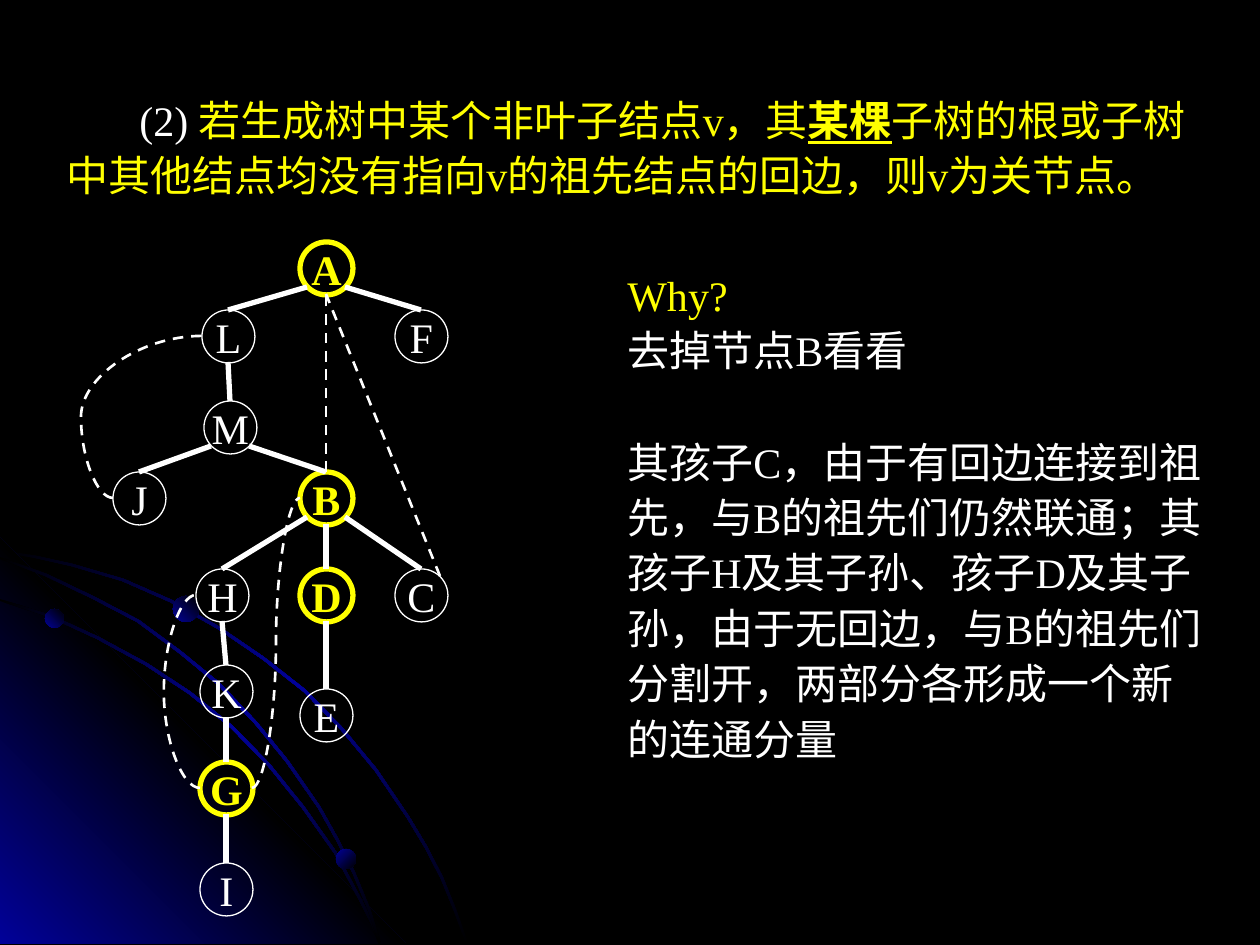
"""Builds a slide on articulation points in a depth-first spanning tree."""
from lxml import etree
from pptx import Presentation
from pptx import util as u
from pptx.dml.color import RGBColor
from pptx.enum import dml, shapes, text
from pptx.oxml.ns import qn

SCALE = 914400 / 126
BLACK = RGBColor(0, 0, 0)
WHITE = RGBColor(0xFF, 0xFF, 0xFF)
YELLOW = RGBColor(0xFF, 0xFF, 0)
BLUE = RGBColor(0x01, 0x01, 0x99)
LATIN, CJK = "Times New Roman", "Noto Sans CJK SC"

DIAMETER = 53
RADIUS = DIAMETER // 2
DIAGONAL = 19
SITES = {
    "n": (0, -RADIUS), "s": (0, RADIUS), "w": (-RADIUS, 0), "e": (RADIUS, 0),
    "sw": (-DIAGONAL, DIAGONAL), "se": (DIAGONAL, DIAGONAL),
    "ne": (DIAGONAL, -DIAGONAL),
}
NODES = {
    "A": (326, 268), "L": (228, 336), "F": (421, 336), "M": (230, 427),
    "J": (139, 498), "B": (326, 498), "H": (222, 595), "D": (326, 595),
    "C": (421, 595), "K": (226, 691), "E": (326, 715), "G": (226, 788),
    "I": (226, 889),
}
CUT_NODES = "ABDG"
TREE_EDGES = [
    ("A", "sw", "L"), ("A", "se", "F"), ("L", "s", "M"), ("M", "sw", "J"),
    ("M", "se", "B"), ("B", "sw", "H"), ("B", "s", "D"), ("B", "se", "C"),
    ("D", "s", "E"), ("H", "s", "K"), ("K", "s", "G"), ("G", "s", "I"),
]
STRAIGHT_BACK_EDGES = [("B", "n", "A", "s"), ("C", "ne", "A", "s")]
CURVED_BACK_EDGES = [
    ("J", "w", "L", "w", 81), ("G", "w", "H", "w", 164), ("G", "e", "B", "w", 276),
]

OUTER_ARC = [
    (0, 552), (35, 558), (71, 566), (122, 581), (170, 602), (218, 629),
    (262, 659), (304, 692), (341, 730), (375, 771), (407, 818), (425, 848),
    (441, 879), (454, 911), (466, 944),
]
INNER_ARC = [
    (0, 601), (49, 617), (97, 639), (145, 665), (189, 694), (231, 728),
    (268, 766), (302, 808), (334, 853), (359, 900), (370, 922), (379, 944),
]
MIDDLE_ARC = [
    (0, 559), (45, 576), (93, 599), (137, 622), (179, 653), (218, 685),
    (255, 724), (286, 762), (318, 808), (336, 840), (353, 874), (368, 910),
    (379, 944),
]
CORNER = [(0, 538), (0, 944), (406, 944)]
DOTS = [(45, 609, 19, 45), (336, 849, 20, 315), (173, 596, 26, 45)]


def px(n):
    return u.Emu(round(n * SCALE))


def set_gradient(sp, colors, angle):
    sp.shadow.inherit = False
    sp.line.fill.background()
    sp.fill.gradient()
    sp.fill.gradient_angle = angle
    stops = sp.element.spPr.find(".//" + qn("a:gsLst"))
    stops.clear()
    for i, color in enumerate(colors):
        position = 100000 * i // (len(colors) - 1)
        stop = etree.SubElement(stops, qn("a:gs"), pos=str(position))
        etree.SubElement(stop, qn("a:srgbClr"), val=str(color))


def add_outline(s, points, colors, angle):
    builder = s.shapes.build_freeform(*points[0], scale=SCALE)
    builder.add_line_segments(points[1:], close=True)
    set_gradient(builder.convert_to_shape(), colors, angle)


def add_arc(s, points):
    upper_edge = [(x + 2 if x else 0, y - 2) for x, y in reversed(points)]
    add_outline(s, points + upper_edge, [BLACK, BLUE, BLACK], 315)


def add_dot(s, x, y, size, angle):
    sp = s.shapes.add_shape(shapes.MSO_SHAPE.OVAL, px(x), px(y), px(size), px(size))
    set_gradient(sp, [BLUE, BLACK], angle)


def add_run(p, words, color, bold=False, underline=False, latin=LATIN):
    r = p.add_run()
    r.text = words
    r.font.size = u.Pt(24)
    r.font.name = latin
    r.font.color.rgb = color
    r.font.bold = bold
    r.font.underline = underline
    etree.SubElement(r.font._element, qn("a:ea"), typeface=CJK)


def add_text_box(s, x, y, w, h):
    tf = s.shapes.add_textbox(px(x), px(y), px(w), px(h)).text_frame
    tf.word_wrap = True
    tf.auto_size = text.MSO_AUTO_SIZE.SHAPE_TO_FIT_TEXT
    return tf


def add_statement(s):
    p = add_text_box(s, 54, 83, 1177, 125).paragraphs[0]
    p.line_spacing = 1.1
    p._p.get_or_add_pPr().set("indent", str(px(73)))
    add_run(p, "(2) ", WHITE)
    add_run(p, "若生成树中某个非叶子结点v，其", YELLOW)
    add_run(p, "某棵", YELLOW, bold=True, underline=True, latin=CJK)
    add_run(p, "子树的根或子树中其他结点均没有指向v的祖先结点的回边，则v为关节点。", YELLOW)


def add_explanation(s):
    tf = add_text_box(s, 615, 258, 604, 627)
    paragraphs = [
        ("Why?", YELLOW, 0),
        ("去掉节点B看看", WHITE, 0),
        ("其孩子C，由于有回边连接到祖先，与B的祖先们仍然联通；其孩子H及其子孙、"
         "孩子D及其子孙，由于无回边，与B的祖先们分割开，两部分各形成一个新的连通分量",
         WHITE, 32),
    ]
    for i, (words, color, gap) in enumerate(paragraphs):
        p = tf.add_paragraph() if i else tf.paragraphs[0]
        p.line_spacing = 1.1
        p.space_before = u.Pt(gap)
        add_run(p, words, color)


def add_node(s, name):
    x, y = NODES[name]
    is_cut = name in CUT_NODES
    color = YELLOW if is_cut else WHITE
    sp = s.shapes.add_shape(shapes.MSO_SHAPE.OVAL, px(x - RADIUS), px(y - RADIUS),
                            px(DIAMETER), px(DIAMETER))
    sp.shadow.inherit = False
    sp.fill.background()
    sp.line.color.rgb = color
    sp.line.width = u.Pt(3 if is_cut else 0.75)
    tf = sp.text_frame
    tf.word_wrap = False
    tf.vertical_anchor = text.MSO_ANCHOR.MIDDLE
    p = tf.paragraphs[0]
    p.alignment = text.PP_ALIGN.CENTER
    add_run(p, name, color, bold=is_cut)


def site(name, side):
    return tuple(a + b for a, b in zip(NODES[name], SITES[side]))


def add_edge(s, start, start_side, end, end_side="n", dashed=False, bend=None):
    (x1, y1), (x2, y2) = site(start, start_side), site(end, end_side)
    kind = shapes.MSO_CONNECTOR.STRAIGHT if bend is None else shapes.MSO_CONNECTOR.CURVE
    c = s.shapes.add_connector(kind, px(x1), px(y1), px(x2), px(y2))
    c.line.color.rgb = WHITE
    c.line.width = u.Pt(1.5 if dashed else 3)
    if dashed:
        c.line.dash_style = dml.MSO_LINE.DASH
    spPr = c._element.spPr
    etree.SubElement(spPr, qn("a:effectLst"))
    if bend is not None:
        ratio = round(100000 * (bend - x1) / (x2 - x1))
        guides = spPr.find(".//" + qn("a:avLst"))
        etree.SubElement(guides, qn("a:gd"), name="adj1", fmla=f"val {ratio}")


def add_backdrop(s):
    s.background.fill.solid()
    s.background.fill.fore_color.rgb = BLACK
    add_arc(s, OUTER_ARC)
    add_outline(s, CORNER, [BLUE, BLACK, BLUE], 45)
    add_arc(s, INNER_ARC)
    add_arc(s, MIDDLE_ARC)
    for dot in DOTS:
        add_dot(s, *dot)


def main():
    prs = Presentation()
    prs.slide_width, prs.slide_height = px(1260), px(945)
    s = prs.slides.add_slide(prs.slide_layouts[6])
    add_backdrop(s)
    add_statement(s)
    add_explanation(s)
    for name in NODES:
        add_node(s, name)
    for edge in TREE_EDGES:
        add_edge(s, *edge)
    for edge in STRAIGHT_BACK_EDGES:
        add_edge(s, *edge, dashed=True)
    for *edge, bend in CURVED_BACK_EDGES:
        add_edge(s, *edge, dashed=True, bend=bend)
    prs.save("out.pptx")


if __name__ == "__main__":
    main()
